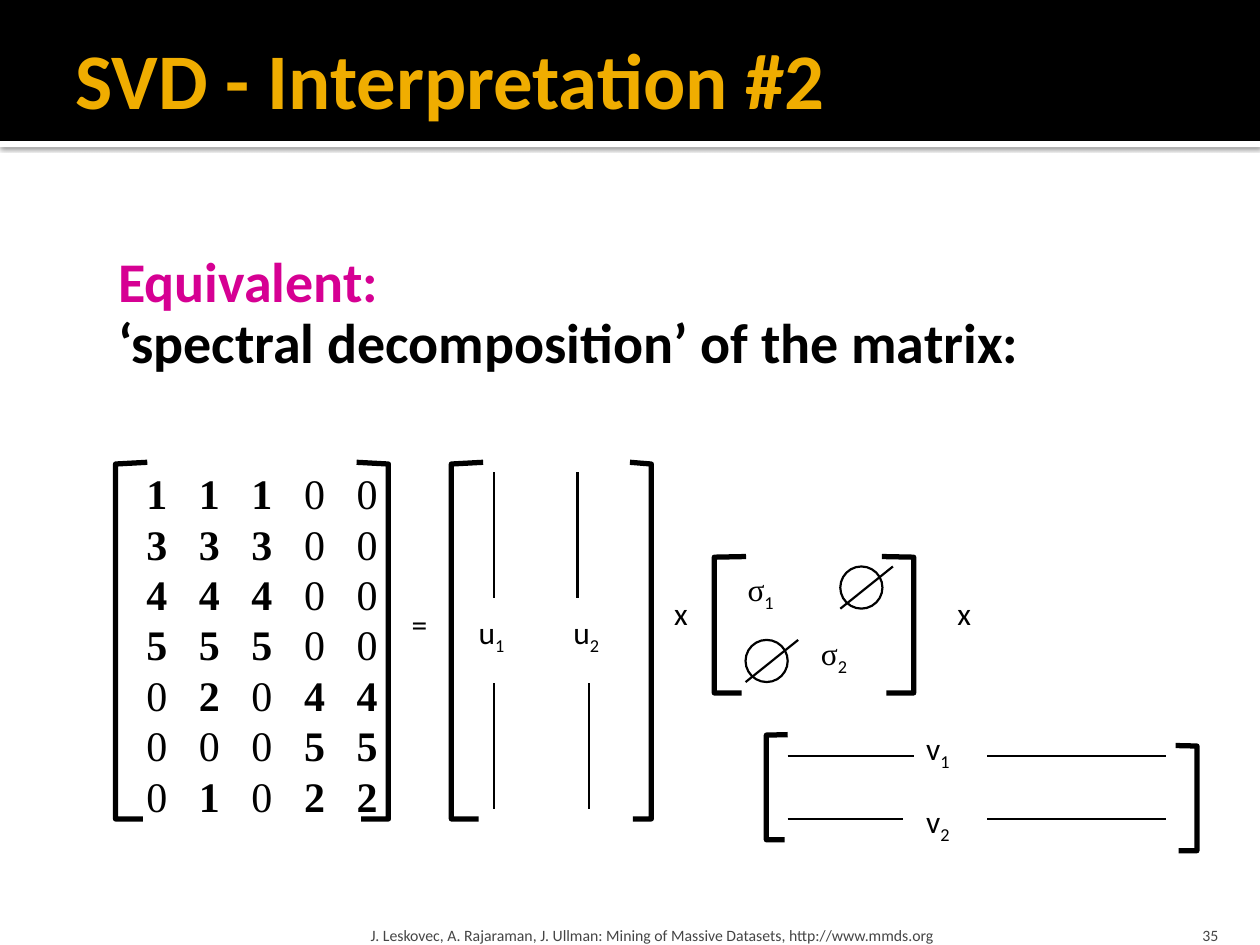
from lxml.etree import SubElement
from pptx import Presentation
from pptx.dml.color import RGBColor
from pptx.enum.shapes import MSO_CONNECTOR, MSO_SHAPE
from pptx.enum.text import MSO_ANCHOR, PP_ALIGN
from pptx.oxml.ns import qn
from pptx.util import Cm, Pt

BLACK = RGBColor(0x00, 0x00, 0x00)
WHITE = RGBColor(0xFF, 0xFF, 0xFF)
GOLD = RGBColor(0xF0, 0xAD, 0x00)
MAGENTA = RGBColor(0xD6, 0x00, 0x93)
GRAY = RGBColor(0x45, 0x45, 0x45)
SANS = "Calibri"
SERIF = "Times New Roman"
MATRIX_ROWS = ["11100", "33300", "44400", "55500", "02044", "00055", "01022"]
BOLD_CELLS = ["11100", "11100", "11100", "11100", "01011", "00011", "01011"]
COLUMN_PITCH = 1.06


def add_text_frame(slide, left, top, width, height, anchor, insets=(0.25, 0.13, 0.25, 0.13)):
    shape = slide.shapes.add_textbox(Cm(left), Cm(top), Cm(width), Cm(height))
    frame = shape.text_frame
    frame.word_wrap = True
    frame.vertical_anchor = anchor
    frame.margin_left, frame.margin_top, frame.margin_right, frame.margin_bottom = map(Cm, insets)
    return frame


def add_run(paragraph, text, size, color=BLACK, font=SANS, bold=False):
    run = paragraph.add_run()
    run.text = text
    run.font.size = Pt(size)
    run.font.name = font
    run.font.bold = bold
    run.font.color.rgb = color
    return run


def add_label(slide, left, top, text, subscript="", font=SANS, width=1.35, height=1.45):
    frame = add_text_frame(slide, left, top, width, height, MSO_ANCHOR.MIDDLE)
    paragraph = frame.paragraphs[0]
    add_run(paragraph, text, 18, font=font)
    if subscript:
        run = add_run(paragraph, subscript, 18)
        run.font._element.set("baseline", "-25000")


def add_line(shapes, start_x, start_y, end_x, end_y):
    line = shapes.add_connector(MSO_CONNECTOR.STRAIGHT, Cm(start_x), Cm(start_y), Cm(end_x), Cm(end_y))
    line.line.color.rgb = BLACK
    line.line.width = Pt(1.25)
    SubElement(line._element.spPr, qn("a:effectLst"))


def add_bracket(slide, spine, top, height, arm):
    points = [
        (spine + arm, top),
        (spine, top + 0.005 * height),
        (spine, top + height),
        (spine + 0.86 * arm, top + height),
    ]
    corners = [(Cm(x), Cm(y)) for x, y in points]
    builder = slide.shapes.build_freeform(*corners[0])
    builder.add_line_segments(corners[1:], close=False)
    shape = builder.convert_to_shape()
    shape.shadow.inherit = False
    shape.fill.background()
    shape.line.color.rgb = BLACK
    shape.line.width = Pt(3)


def add_null_sign(slide, left, top):
    group = slide.shapes.add_group_shape()
    circle = group.shapes.add_shape(MSO_SHAPE.OVAL, Cm(left), Cm(top), Cm(0.85), Cm(0.85))
    circle.shadow.inherit = False
    circle.fill.background()
    circle.line.color.rgb = BLACK
    circle.line.width = Pt(1.25)
    add_line(group.shapes, left + 1.06, top, left, top + 0.85)


def add_band(slide, left, top, width, height, color):
    band = slide.shapes.add_shape(MSO_SHAPE.RECTANGLE, Cm(left), Cm(top), Cm(width), Cm(height))
    band.shadow.inherit = False
    band.fill.solid()
    band.fill.fore_color.rgb = color
    band.line.fill.background()
    return band


def add_header(slide, left, top, width, height):
    rule = add_band(slide, left, top + height, width, 0.13, WHITE)
    effects = rule._element.spPr.find(qn("a:effectLst"))
    shadow = SubElement(effects, qn("a:outerShdw"), blurRad=str(Pt(2.5)), dist=str(Pt(0.8)),
                        dir="5400000", algn="tl", rotWithShape="0")
    shadow_color = SubElement(shadow, qn("a:srgbClr"), val="000000")
    SubElement(shadow_color, qn("a:alpha"), val="60000")
    add_band(slide, left, top, width, height, BLACK)
    frame = add_text_frame(slide, left + 1.27, top + 0.2, width - 2.54, 2.74, MSO_ANCHOR.MIDDLE)
    add_run(frame.paragraphs[0], "SVD - Interpretation #2", 45, GOLD, bold=True)


def add_statement(slide, left, top, width, height):
    frame = add_text_frame(slide, left, top, width, height, MSO_ANCHOR.TOP, (0.48, 0.25, 0.25, 0.13))
    lines = [("Equivalent:", MAGENTA), ("‘spectral decomposition’ of the matrix:", BLACK)]
    for index, (text, color) in enumerate(lines):
        paragraph = frame.add_paragraph() if index else frame.paragraphs[0]
        paragraph.line_spacing = 0.9
        add_run(paragraph, text, 32, color, bold=True)


def add_data_matrix(slide, left, top, width, height):
    add_bracket(slide, left, top, height, 0.64)
    add_bracket(slide, left + width, top, height, -0.64)
    frame = add_text_frame(slide, left + 0.2, top - 0.02, width, height + 0.25, MSO_ANCHOR.TOP,
                           (0.42, 0.13, 0, 0.13))
    for index, (values, weights) in enumerate(zip(MATRIX_ROWS, BOLD_CELLS)):
        paragraph = frame.add_paragraph() if index else frame.paragraphs[0]
        paragraph.line_spacing = Pt(28.8)
        tab_list = SubElement(paragraph._p.get_or_add_pPr(), qn("a:tabLst"))
        for column in range(1, len(values)):
            SubElement(tab_list, qn("a:tab"), pos=str(Cm(column * COLUMN_PITCH)), algn="l")
        for column, (value, weight) in enumerate(zip(values, weights)):
            text = "\t" + value if column else value
            add_run(paragraph, text, 24, font=SERIF, bold=weight == "1")


def add_left_vectors(slide, left, top, width, height):
    add_bracket(slide, left, top, height, 0.64)
    add_bracket(slide, left + width, top, height, -0.43)
    columns = [("1", 0.3, 0.86, 0.86), ("2", 2.21, 2.54, 2.77)]
    for subscript, label_x, upper_x, lower_x in columns:
        add_label(slide, left + label_x, top + 2.74, "u", subscript)
        add_line(slide.shapes, left + upper_x, top + 0.2, left + upper_x, top + 2.74)
        add_line(slide.shapes, left + lower_x, top + 4.45, left + lower_x, top + 6.99)


def add_singular_values(slide, left, top, width, height):
    add_bracket(slide, left, top, height, 0.64)
    add_bracket(slide, left + width, top, height, -0.64)
    for subscript, x, y in [("1", 0.42, 0.2), ("2", 1.9, 1.48)]:
        add_label(slide, left + x, top + y, "σ", subscript, SERIF, 1.7, 1.02)
    for x, y in [(2.54, 0.2), (0.63, 1.68)]:
        add_null_sign(slide, left + x, top + y)


def add_right_vectors(slide, left, top, width, height):
    add_bracket(slide, left, top, height, 0.43)
    add_bracket(slide, left + width, top + 0.22, height, -0.43)
    rows = [("1", -0.41, 0.43, 2.97), ("2", 1.07, 1.7, 2.76)]
    for subscript, label_y, line_y, line_end in rows:
        add_label(slide, left + 2.97, top + label_y, "v", subscript)
        add_line(slide.shapes, left + 0.43, top + line_y, left + line_end, top + line_y)
        add_line(slide.shapes, left + 4.45, top + line_y, left + 8.05, top + line_y)


def add_footer(slide, left, top, width, height):
    source = add_text_frame(slide, left, top, 15.29, height, MSO_ANCHOR.BOTTOM, (0.13, 0.13, 0.13, 0))
    add_run(source.paragraphs[0],
            "J. Leskovec, A. Rajaraman, J. Ullman: Mining of Massive Datasets, http://www.mmds.org", 9, GRAY)
    number = add_text_frame(slide, left + width - 2.03, top, 2.03, height, MSO_ANCHOR.BOTTOM,
                            (0.25, 0.13, 0.25, 0))
    number.paragraphs[0].alignment = PP_ALIGN.RIGHT
    add_run(number.paragraphs[0], "35", 9, GRAY)


def main():
    presentation = Presentation()
    presentation.slide_width = Cm(25.4)
    presentation.slide_height = Cm(19.05)
    slide = presentation.slides.add_slide(presentation.slide_layouts[6])
    add_header(slide, 0, 0, 25.4, 2.84)
    add_statement(slide, 1.9, 4.88, 21.6, 11.43)
    add_data_matrix(slide, 2.33, 9.32, 5.5, 7.19)
    add_label(slide, 8.05, 11.86, "=")
    add_left_vectors(slide, 9.1, 9.32, 4.03, 7.19)
    add_label(slide, 13.34, 11.64, "x")
    add_singular_values(slide, 14.4, 11.22, 4.02, 2.75)
    add_label(slide, 19.05, 11.64, "x")
    add_right_vectors(slide, 15.45, 14.81, 8.68, 2.12)
    add_footer(slide, 7.34, 18.29, 17.47, 0.76)
    presentation.save("out.pptx")


if __name__ == "__main__":
    main()
